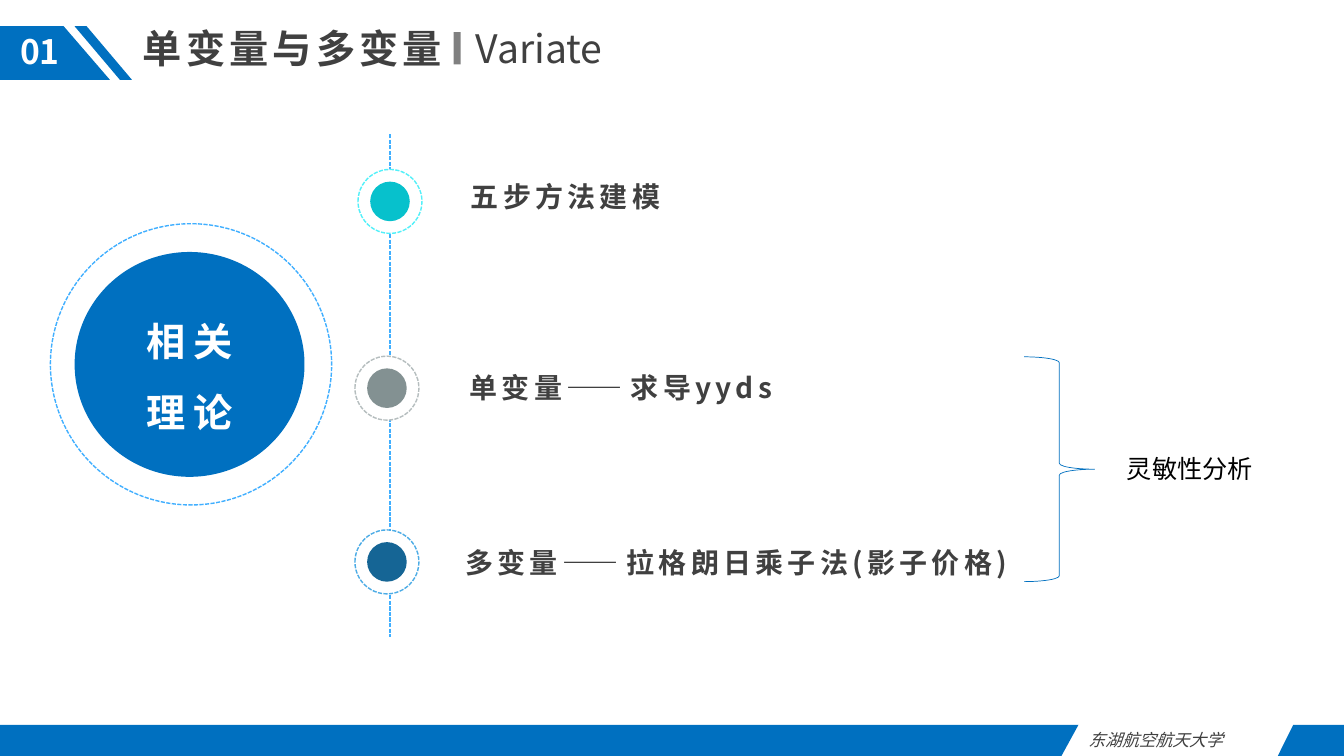
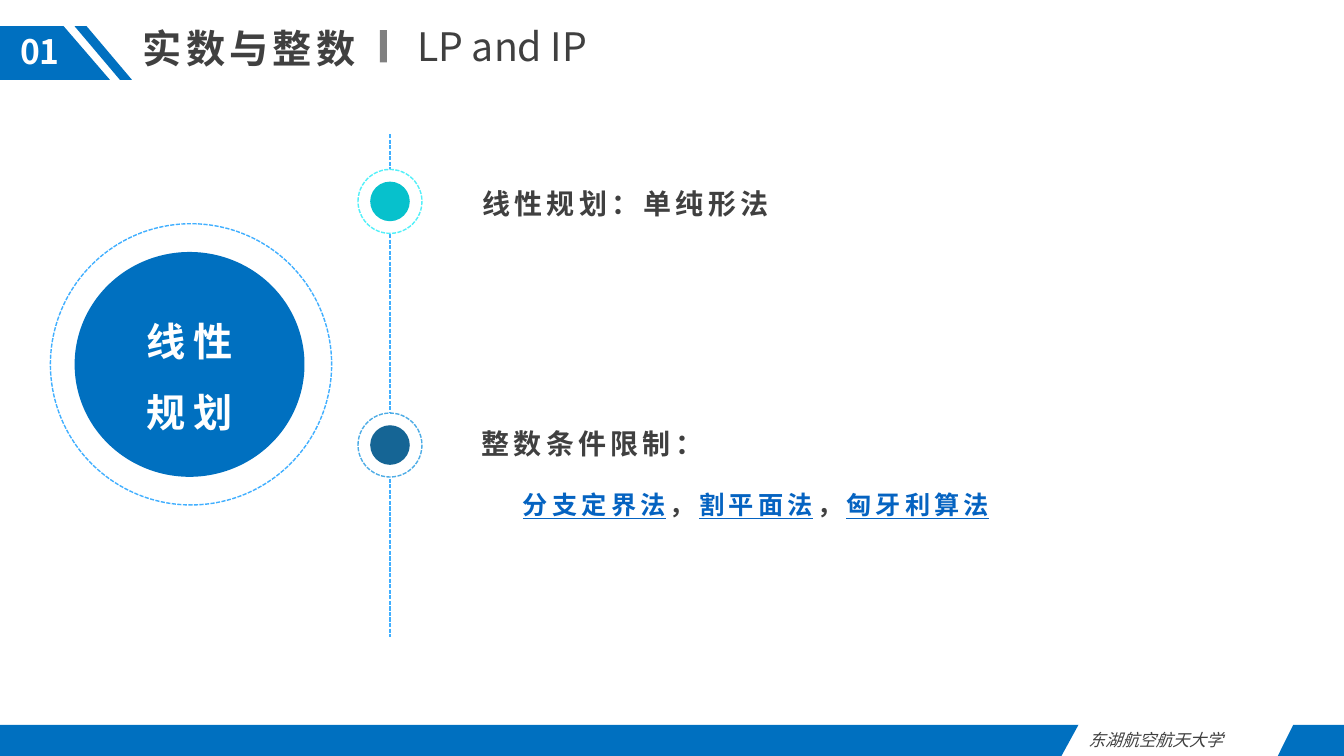
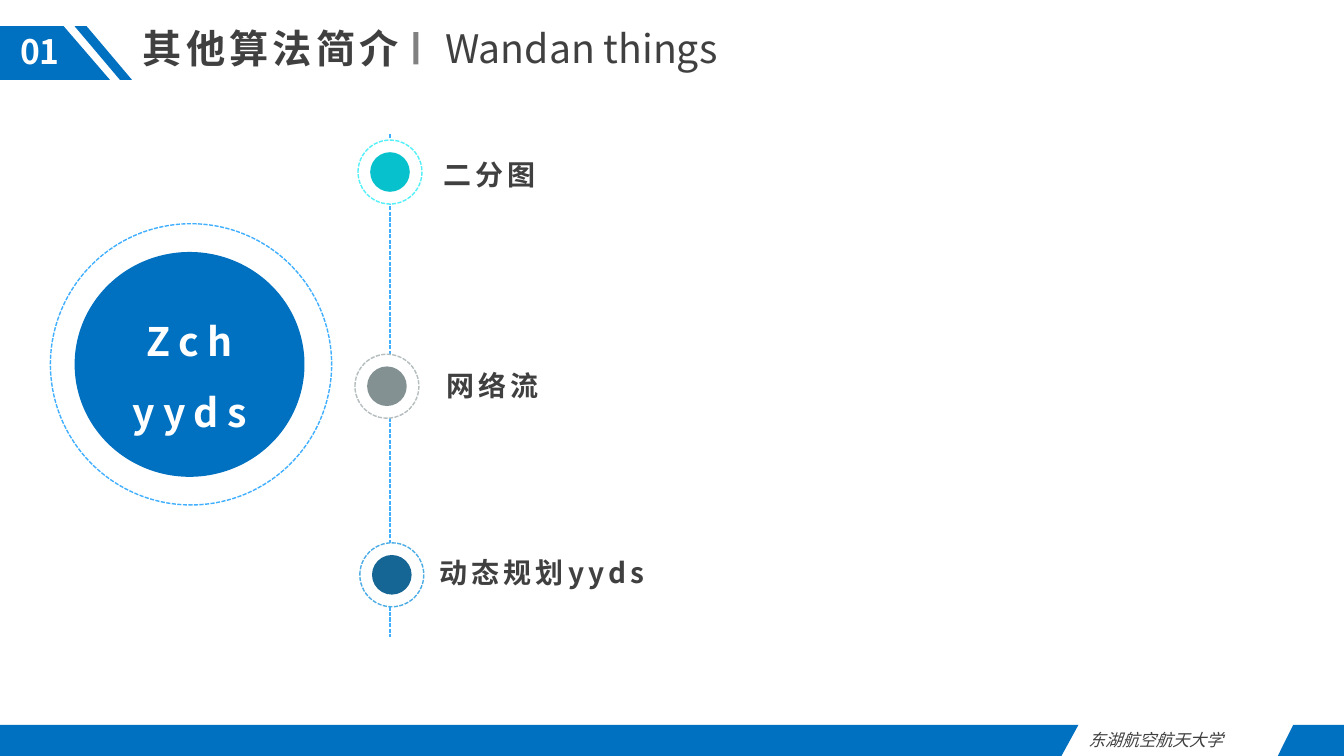
from dataclasses import dataclass

from lxml import etree
from pptx import Presentation
from pptx.dml.color import RGBColor
from pptx.enum import dml, shapes, text
from pptx.oxml import ns
from pptx.util import Pt

FONT = "Noto Sans CJK SC"
UNIVERSITY = "东湖航空航天大学"

WHITE = RGBColor(0xFF, 0xFF, 0xFF)
BLACK = RGBColor(0, 0, 0)
INK = RGBColor(0x40, 0x40, 0x40)
GREY = RGBColor(0x80, 0x80, 0x80)
BLUE = RGBColor(0x00, 0x70, 0xC0)
SKY = RGBColor(0x40, 0xAF, 0xFF)
LINK = RGBColor(0x05, 0x63, 0xC1)

SPINE_X, SPINE_TOP, SPINE_BOTTOM = 278.6, 95.8, 455
RING, DISC = 45.7, 28.3
LEFT = text.PP_ALIGN.LEFT
CENTER = text.PP_ALIGN.CENTER
JUSTIFY = text.PP_ALIGN.JUSTIFY
OVAL = shapes.MSO_SHAPE.OVAL


@dataclass(frozen=True)
class Box:
    left: float
    top: float
    width: float
    height: float

    def lengths(self) -> list[Pt]:
        return [Pt(v) for v in (self.left, self.top, self.width, self.height)]


@dataclass(frozen=True)
class Tone:
    disc: RGBColor
    ring: RGBColor


TEAL = Tone(RGBColor(0x07, 0xC1, 0xCC), RGBColor(0x52, 0xF0, 0xF9))
ASH = Tone(RGBColor(0x83, 0x91, 0x92), RGBColor(0xB5, 0xBD, 0xBE))
NAVY = Tone(RGBColor(0x15, 0x65, 0x95), RGBColor(0x4C, 0xAC, 0xE6))


@dataclass(frozen=True)
class Topic:
    label: str
    box: Box
    tone: Tone
    y: float
    x: float = SPINE_X
    align: text.PP_ALIGN = CENTER
    wrap: bool = False


@dataclass(frozen=True)
class Page:
    title: str
    bar: Box
    english: str
    english_box: Box
    hub: str
    topics: list[Topic]


PAGES = [
    Page("单变量与多变量", Box(324, 23, 5, 23), "Variate", Box(332.6, 13.7, 120, 41),
         "相关\n理论", [
             Topic("五步方法建模", Box(327, 124.5, 154, 31.5), TEAL, 143.9),
             Topic("单变量——求导yyds", Box(324, 261, 239, 31.5), ASH, 277.3, 276.4),
             Topic("多变量——拉格朗日乘子法(影子价格)", Box(320.4, 386, 411, 31.5), NAVY,
                   401.4, 276.4, wrap=True)]),
    Page("实数与整数", Box(271.4, 21.6, 5, 23), "LP and IP", Box(290.9, 12.2, 140, 41),
         "线性\n规划", [
             Topic("线性规划：单纯形法", Box(334.8, 129.6, 224, 31.5), TEAL, 143.9),
             Topic("整数条件限制：", Box(334.8, 301, 177, 31.5), NAVY, 317.9)]),
    Page("其他算法简介", Box(295.2, 23, 3.6, 23), "Wandan things",
         Box(311, 13.7, 242.6, 41), "Zch\nyyds", [
             Topic("二分图", Box(309.6, 108.7, 111, 31.5), TEAL, 122.9,
                   align=LEFT, wrap=True),
             Topic("网络流", Box(311.8, 260, 355, 31.5), ASH, 275.9, 276.4,
                   align=LEFT, wrap=True),
             Topic("动态规划yyds", Box(306.7, 393.1, 180, 31.5), NAVY, 410.6, 279.9,
                   align=LEFT, wrap=True)]),
]


def add_run(paragraph, words: str, *, size: float, color: RGBColor = INK,
            bold: bool = False, italic: bool = False, underline: bool = False,
            spacing: float = 0) -> None:
    run = paragraph.add_run()
    run.text = words
    font = run.font
    font.name, font.size, font.color.rgb = FONT, Pt(size), color
    font.bold, font.italic, font.underline = bold, italic, underline
    properties = run._r.get_or_add_rPr()
    east_asian = etree.Element(ns.qn("a:ea"), typeface=FONT)
    properties.find(ns.qn("a:latin")).addnext(east_asian)
    if spacing:
        properties.set("spc", str(round(spacing * 100)))


def add_text(slide, words: str, box: Box, *, align: text.PP_ALIGN = LEFT,
             wrap: bool = True, **style):
    """Add a one-paragraph text box and return its paragraph."""
    frame = slide.shapes.add_textbox(*box.lengths()).text_frame
    frame.word_wrap = wrap
    paragraph = frame.paragraphs[0]
    paragraph.alignment = align
    if words:
        add_run(paragraph, words, **style)
    return paragraph


def paint(shape, fill: RGBColor | None, line: RGBColor | None = None,
          width: float = 1, dashed: bool = False) -> None:
    shape.shadow.inherit = False
    if fill is None:
        shape.fill.background()
    else:
        shape.fill.solid()
        shape.fill.fore_color.rgb = fill
    if line is None:
        shape.line.fill.background()
        return
    shape.line.color.rgb = line
    shape.line.width = Pt(width)
    if dashed:
        shape.line.dash_style = dml.MSO_LINE.SQUARE_DOT


def add_preset(slide, kind: shapes.MSO_SHAPE, box: Box, fill: RGBColor | None, **outline):
    shape = slide.shapes.add_shape(kind, *box.lengths())
    paint(shape, fill, **outline)
    return shape


def add_polygon(slide, *corners: tuple[float, float]) -> None:
    start, *rest = [(Pt(x), Pt(y)) for x, y in corners]
    builder = slide.shapes.build_freeform(*start)
    builder.add_line_segments(rest, close=True)
    paint(builder.convert_to_shape(), BLUE)


def add_header(slide, page: Page) -> None:
    add_text(slide, page.title, Box(95, 13.7, 242.6, 41), size=28, bold=True, spacing=3)
    add_preset(slide, shapes.MSO_SHAPE.RECTANGLE, page.bar, GREY)
    add_text(slide, page.english, page.english_box, size=28)
    add_polygon(slide, (0, 18.7), (45.5, 18.7), (78.5, 57), (0, 57))
    add_polygon(slide, (61.9, 18.7), (53.3, 18.7), (85.7, 57), (94.3, 57))
    add_text(slide, "01", Box(0, 18.7, 56.9, 36), align=CENTER, size=24,
             color=WHITE, bold=True)


def add_footer(slide) -> None:
    add_polygon(slide, (0, 517.7), (770.4, 517.7), (758.2, 540), (0, 540))
    add_text(slide, UNIVERSITY, Box(770.4, 517.7, 142.6, 21.6), align=JUSTIFY,
             size=12, italic=True)
    add_polygon(slide, (923.8, 517.7), (960, 517.7), (960, 540), (912.7, 540))


def add_spine(slide) -> None:
    spine = slide.shapes.add_connector(
        shapes.MSO_CONNECTOR.STRAIGHT,
        Pt(SPINE_X), Pt(SPINE_TOP), Pt(SPINE_X), Pt(SPINE_BOTTOM))
    spine.line.color.rgb = SKY
    spine.line.width = Pt(1)
    spine.line.dash_style = dml.MSO_LINE.SQUARE_DOT
    etree.SubElement(spine._element.spPr, ns.qn("a:effectLst"))


def add_hub(slide, words: str) -> None:
    add_preset(slide, OVAL, Box(36, 159.8, 200.9, 200.9), WHITE, line=SKY, dashed=True)
    hub = add_preset(slide, OVAL, Box(53.3, 180, 164.2, 160.6), BLUE)
    frame = hub.text_frame
    frame.vertical_anchor = text.MSO_ANCHOR.MIDDLE
    frame.margin_left = frame.margin_right = frame.margin_top = frame.margin_bottom = 0
    for index, line in enumerate(words.split("\n")):
        paragraph = frame.add_paragraph() if index else frame.paragraphs[0]
        paragraph.alignment = CENTER
        paragraph.line_spacing = 1.5
        add_run(paragraph, line, size=28, color=WHITE, bold=True, spacing=6)


def add_topic(slide, topic: Topic) -> None:
    def centred(size: float) -> Box:
        return Box(topic.x - size / 2, topic.y - size / 2, size, size)

    add_preset(slide, OVAL, centred(RING), WHITE, line=topic.tone.ring, dashed=True)
    add_preset(slide, OVAL, centred(DISC), topic.tone.disc)
    add_text(slide, topic.label, topic.box, align=topic.align, wrap=topic.wrap,
             size=20, bold=True, spacing=3)


def add_page(deck, page: Page):
    slide = deck.slides.add_slide(deck.slide_layouts[6])
    add_header(slide, page)
    add_footer(slide)
    add_spine(slide)
    add_hub(slide, page.hub)
    for topic in page.topics:
        add_topic(slide, topic)
    return slide


def add_sensitivity(slide) -> None:
    add_preset(slide, shapes.MSO_SHAPE.RIGHT_BRACE, Box(731.5, 254.9, 50.4, 160.6),
               None, line=BLUE, width=0.5)
    add_text(slide, "灵敏性分析", Box(797.8, 320.4, 115.2, 29), size=18, color=BLACK)


def add_methods(slide) -> None:
    methods = add_text(slide, "", Box(366.5, 346.3, 404, 29), size=18)
    for index, method in enumerate(("分支定界法", "割平面法", "匈牙利算法")):
        if index:
            add_run(methods, "，", size=18, bold=True, spacing=3)
        add_run(methods, method, size=18, color=LINK, bold=True, underline=True, spacing=3)


def main() -> None:
    deck = Presentation()
    deck.slide_width, deck.slide_height = Pt(960), Pt(540)
    variate, programming, _ = [add_page(deck, page) for page in PAGES]
    add_sensitivity(variate)
    add_methods(programming)
    deck.save("out.pptx")


if __name__ == "__main__":
    main()
